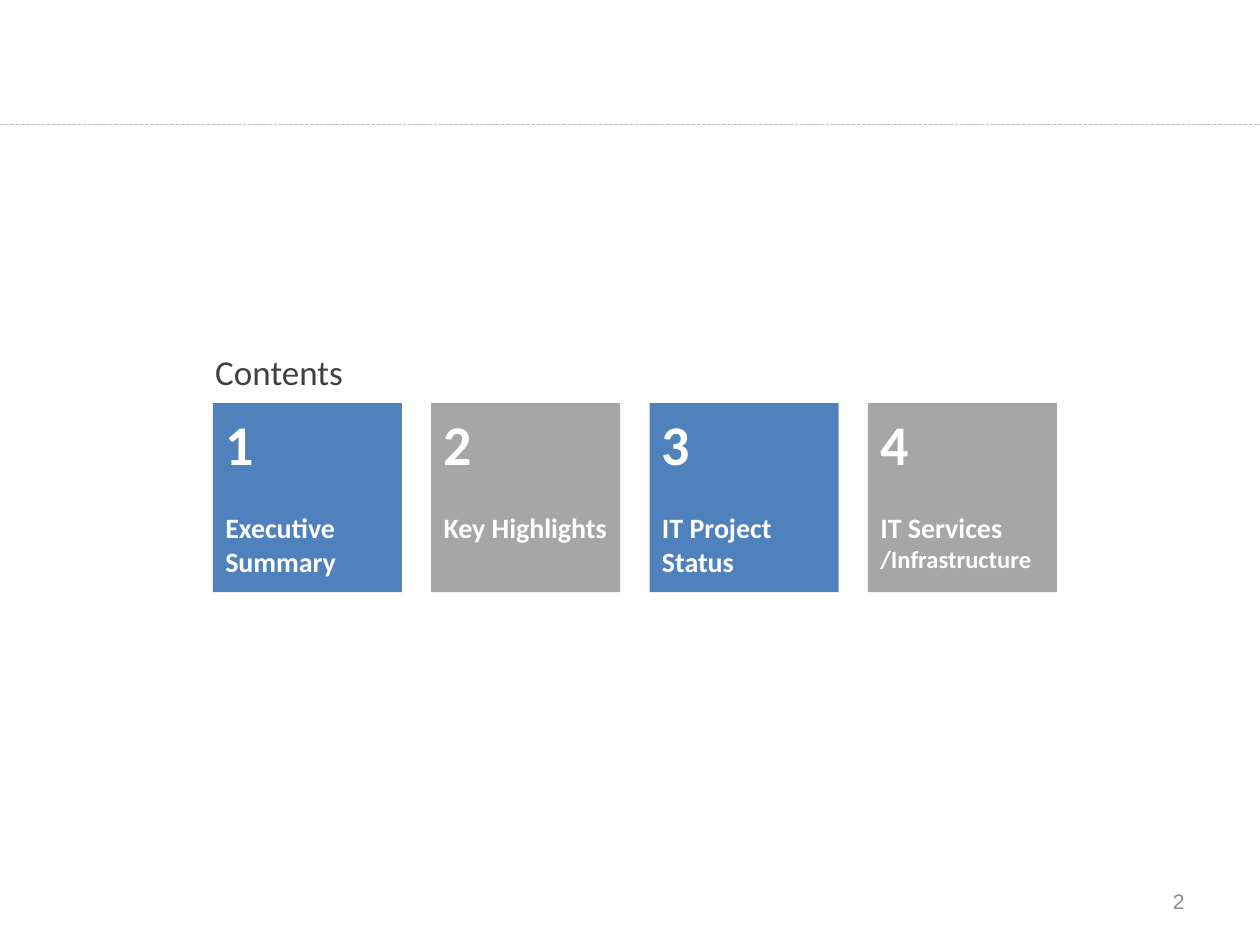
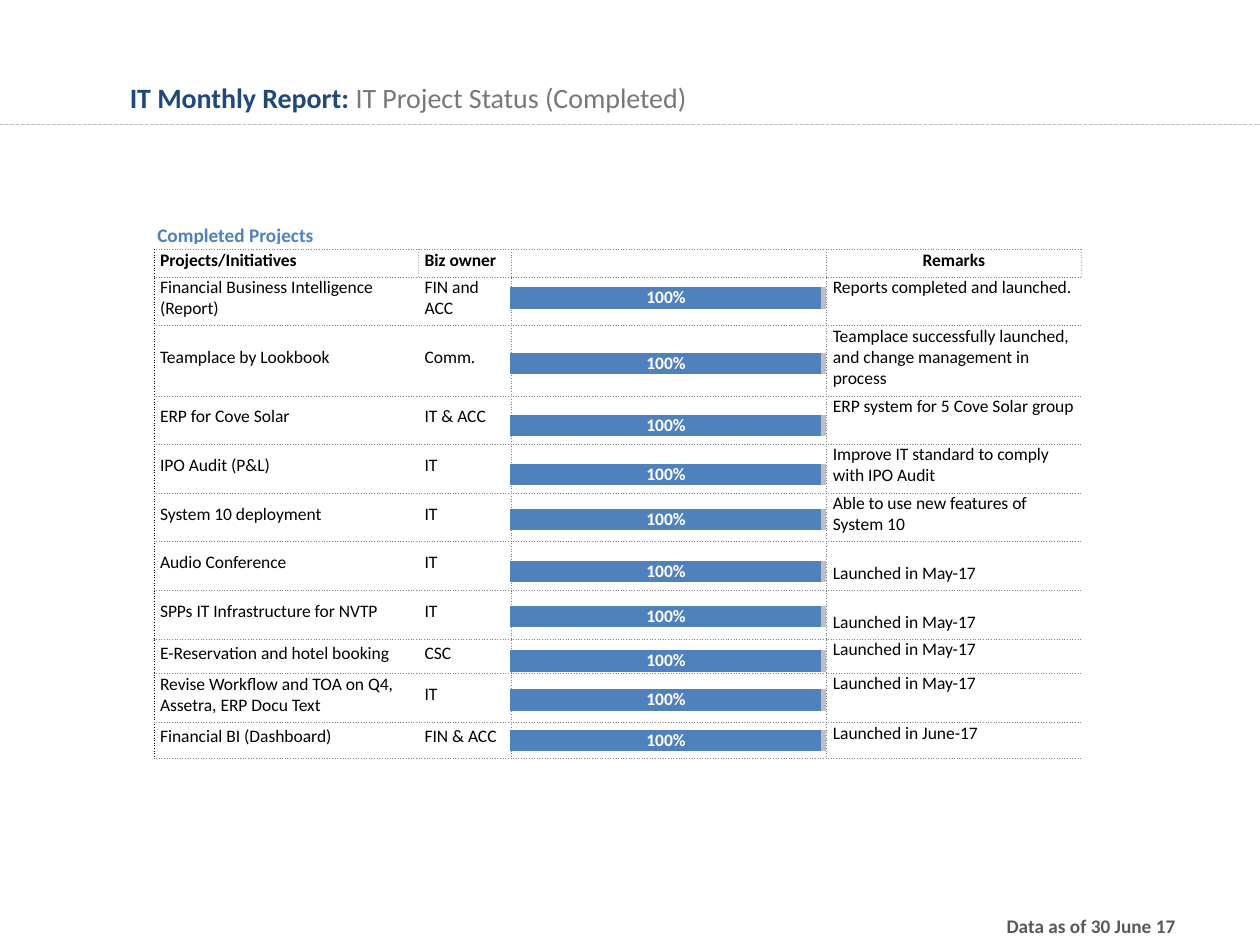
from lxml.etree import SubElement
from pptx import Presentation
from pptx.dml.color import RGBColor as Rgb
from pptx.enum.dml import MSO_LINE_DASH_STYLE as Dash
from pptx.enum.shapes import MSO_CONNECTOR as Conn, MSO_SHAPE as Kind
from pptx.enum.text import MSO_ANCHOR as Anchor, PP_ALIGN as Align
from pptx.oxml.ns import qn
from pptx.util import Inches, Pt

HUES = {
    "white": "FFFFFF", "black": "000000", "blue": "4F81BD", "navy": "1F497D",
    "gray": "A6A6A6", "pale": "BFBFBF", "grid": "808080", "title": "777777",
    "dark": "404040", "note": "595959", "page": "8C8C8C",
}
PLAIN = "{2D5ABB26-0587-4C30-8999-92F81FD0307C}"

CARDS = [
    ["1", ("Executive Summary", 16)],
    ["2", ("Key Highlights", 16)],
    ["3", ("IT Project Status", 16)],
    ["4", ("IT Services ", 16), ("/Infrastructure", 14)],
]

COLS = [2.1, 0.74, 2.5, 0.98, 1.04]
HEADS = ("Projects/Initiatives", "Biz owner", "Remarks")
TASKS = [
    ("Financial Business Intelligence (Report)", "FIN and ACC",
     "Reports completed and launched.", 0.38, 2.28),
    ("Teamplace by Lookbook", "Comm.",
     "Teamplace successfully launched, and change management in process", 0.56, 2.8),
    ("ERP for Cove Solar", "IT & ACC", "ERP system for 5 Cove Solar group", 0.38, 3.29),
    ("IPO Audit (P&L)", "IT", "Improve IT standard to comply with IPO Audit", 0.39, 3.68),
    ("System 10 deployment", "IT", "Able to use new features of System 10", 0.38, 4.04),
    ("Audio Conference", "IT", "Launched in May-17", 0.38, 4.45),
    ("SPPs IT Infrastructure for NVTP", "IT", "Launched in May-17", 0.39, 4.81),
    ("E-Reservation and hotel booking", "CSC", "Launched in May-17", 0.27, 5.16),
    ("Revise Workflow and TOA on Q4, Assetra, ERP Docu Text", "IT",
     "Launched in May-17", 0.39, 5.47),
    ("Financial BI (Dashboard)", "FIN & ACC", "Launched in June-17", 0.28, 5.79),
]
LOWERED = ("Audio Conference", "SPPs IT Infrastructure for NVTP")


def rgb(hue):
    return Rgb.from_string(HUES[hue])


class Deck:
    def __init__(self):
        self.prs = Presentation()
        self.prs.slide_width, self.prs.slide_height = Inches(10), Inches(7.5)
        self.font = "Calibri"
        self.slide = None

    def start(self):
        self.slide = self.prs.slides.add_slide(self.prs.slide_layouts[6])
        rule = self.slide.shapes.add_connector(
            Conn.STRAIGHT, Inches(-0.04), Inches(0.99), Inches(10), Inches(0.99))
        rule.line.color.rgb = rgb("pale")
        rule.line.width = Pt(0.75)
        rule.line.dash_style = Dash.SQUARE_DOT
        SubElement(rule.element.spPr, qn("a:effectLst"))

    def run(self, para, words, size, hue, bold=False, font=None):
        part = para.add_run()
        part.text = words
        part.font.size, part.font.bold = Pt(size), bold
        part.font.name = font or self.font
        part.font.color.rgb = rgb(hue)

    def text(self, box, runs, wrap=True, inset=None, align=Align.LEFT,
             anchor=Anchor.TOP, font=None):
        shape = self.slide.shapes.add_textbox(*map(Inches, box))
        frame = shape.text_frame
        frame.word_wrap, frame.vertical_anchor = wrap, anchor
        if inset is not None:
            self.pad(frame, [inset] * 4)
        para = frame.paragraphs[0]
        para.alignment = align
        for words, size, hue, bold in runs:
            self.run(para, words, size, hue, bold, font)

    def pad(self, item, gaps):
        (item.margin_left, item.margin_top,
         item.margin_right, item.margin_bottom) = map(Inches, gaps)

    def card(self, left, top, side, hue, num, parts):
        box = self.slide.shapes.add_shape(
            Kind.RECTANGLE, *map(Inches, (left, top, side, side)))
        box.shadow.inherit = False
        box.fill.solid()
        box.fill.fore_color.rgb = rgb(hue)
        box.line.fill.background()
        frame = box.text_frame
        frame.word_wrap, frame.vertical_anchor = True, Anchor.TOP
        head, label = frame.paragraphs[0], frame.add_paragraph()
        head.alignment = label.alignment = Align.LEFT
        label.space_before = Pt(19.5)
        self.run(head, num, 32, "white", True)
        for words, size in parts:
            self.run(label, words, size, "white", True)

    def table(self, left, top, cols, rows):
        frame = self.slide.shapes.add_table(
            len(rows), len(cols),
            *map(Inches, (left, top, sum(cols), sum(rows))))
        table = frame.table
        table.first_row = table.horz_banding = False
        for tag in frame.element.iter(qn("a:tableStyleId")):
            tag.text = PLAIN
        for col, width in zip(table.columns, cols):
            col.width = Inches(width)
        for row, high in zip(table.rows, rows):
            row.height = Inches(high)
        return table

    def cell(self, cell, words="", fill="white", edges=(None,) * 4, hue="black",
             bold=False, align=Align.LEFT, anchor=Anchor.MIDDLE, gaps=(0, 0, 0, 0)):
        self.pad(cell, gaps)
        cell.vertical_anchor = anchor
        props = cell._tc.get_or_add_tcPr()
        for side, edge in zip("LRTB", edges):
            line = SubElement(props, qn(f"a:ln{side}"), w=str(Pt(0.25)))
            if edge:
                solid = SubElement(line, qn("a:solidFill"))
                SubElement(solid, qn("a:srgbClr"), val=HUES[edge])
                SubElement(line, qn("a:prstDash"), val="sysDot")
            else:
                SubElement(line, qn("a:noFill"))
        cell.fill.solid()
        cell.fill.fore_color.rgb = rgb(fill)
        para = cell.text_frame.paragraphs[0]
        para.alignment = align
        if words:
            self.run(para, words, 10, hue, bold)
        else:
            SubElement(para._p, qn("a:endParaRPr"), sz="100")

    def bar(self, left, top):
        table = self.table(left, top, [2.47, 0.03], [0.17])
        self.cell(table.cell(0, 0), "100%", "blue", hue="white", bold=True,
                  align=Align.CENTER, anchor=Anchor.TOP)
        self.cell(table.cell(0, 1), fill="pale")


def contents(deck):
    deck.start()
    deck.text((7.17, 6.95, 2.33, 0.4), [("2", 12, "page", False)],
              align=Align.RIGHT, anchor=Anchor.MIDDLE, font="Arial")
    deck.text((1.61, 2.73, 1.22, 0.44), [("Contents", 20, "dark", False)], wrap=False)
    for i, (num, *parts) in enumerate(CARDS):
        deck.card(1.69 + i * 1.733, 3.2, 1.5, ("blue", "gray")[i % 2], num, parts)


def grid(deck):
    rows = [0.04, 0.22] + [task[3] for task in TASKS]
    table = deck.table(1.22, 1.94, COLS, rows)
    for col in range(len(COLS)):
        deck.cell(table.cell(0, col), edges=(None, None, None, "grid"))
    pad = (0.05, 0, 0.05, 0.05)
    for i, (name, owner, note) in enumerate([HEADS] + [task[:3] for task in TASKS], 1):
        top = i == 1
        inner, low = ("gray", "gray") if top else (None, "grid")
        table.cell(i, 3).merge(table.cell(i, 4))
        deck.cell(table.cell(i, 0), name, bold=top, gaps=pad,
                  edges=("black", inner, "grid", low))
        deck.cell(table.cell(i, 1), owner, bold=top, gaps=pad,
                  edges=(inner, "grid", "grid", low))
        deck.cell(table.cell(i, 2), edges=("grid",) * 4)
        drop = 0.17 if name in LOWERED else 0
        deck.cell(table.cell(i, 3), note, bold=top,
                  align=Align.CENTER if top else Align.LEFT,
                  anchor=Anchor.MIDDLE if top else Anchor.TOP,
                  gaps=(0.05, drop, 0.05, 0.05), edges=("grid", inner, "grid", "grid"))
        deck.cell(table.cell(i, 4), edges=(None, inner, "grid", "grid"))


def status(deck):
    deck.start()
    deck.text((1.03, 0.64, 5.31, 0.39), [
        ("IT Monthly Report: ", 16, "navy", True),
        ("IT Project Status (Completed)", 16, "title", False)], inset=0)
    deck.text((1.15, 1.72, 1.46, 0.29),
              [("Completed Projects", 11, "blue", True)], wrap=False)
    grid(deck)
    for task in TASKS:
        deck.bar(4.05, task[4])
    deck.text((7.89, 7.21, 1.6, 0.29), [("Data as of 30 June 17", 11, "note", True)])


def main():
    deck = Deck()
    contents(deck)
    status(deck)
    deck.prs.save("out.pptx")


if __name__ == "__main__":
    main()
